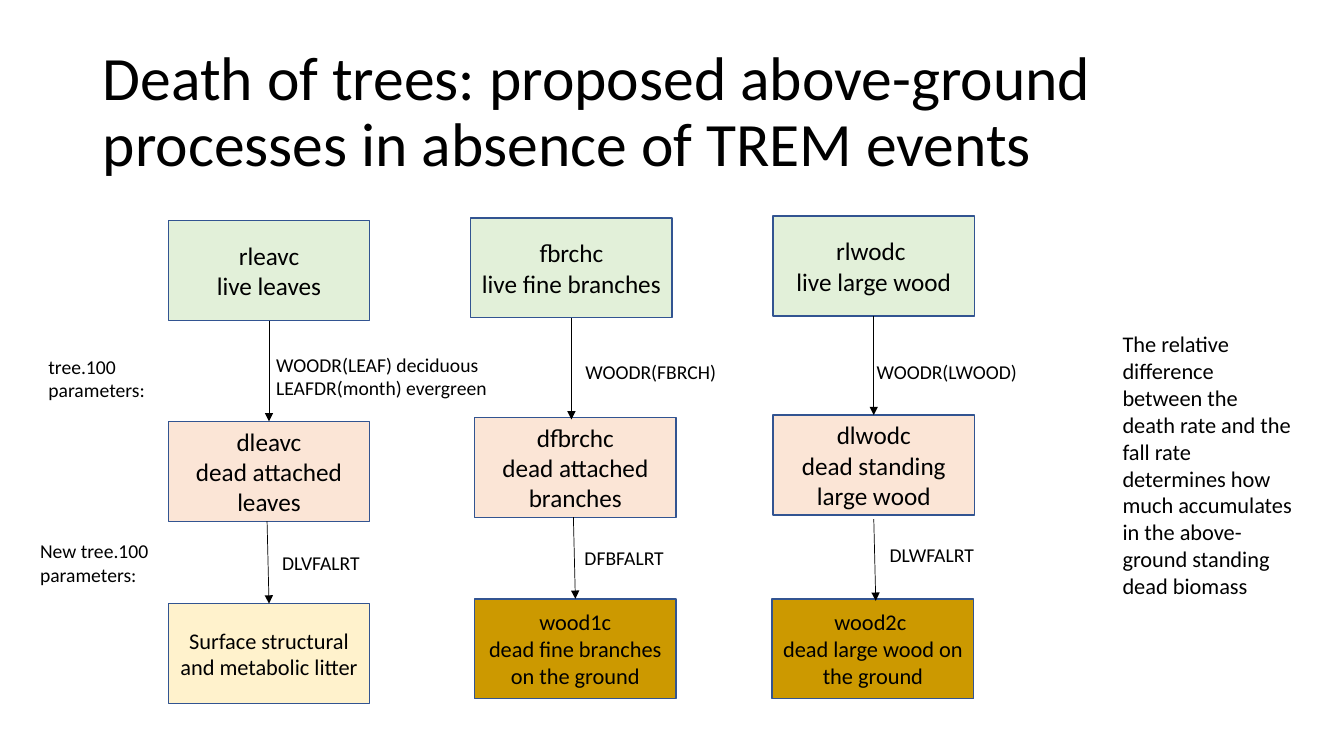
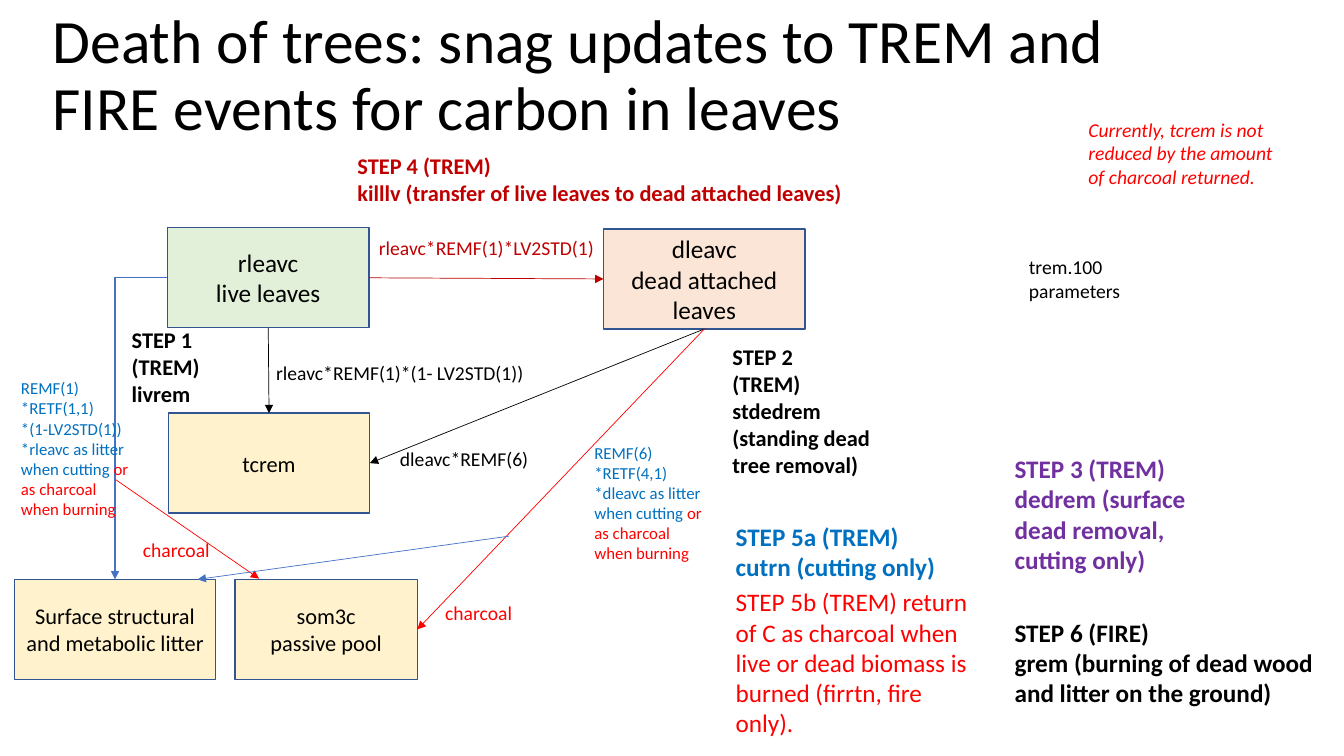
from lxml.etree import SubElement
from pptx import Presentation
from pptx.dml.color import RGBColor
from pptx.enum.shapes import MSO_CONNECTOR, MSO_SHAPE
from pptx.enum.text import MSO_ANCHOR, MSO_AUTO_SIZE, PP_ALIGN
from pptx.oxml.ns import qn
from pptx.util import Cm, Pt

FONT = "Calibri"
COLORS = {
    "black": "000000", "border": "325491", "live": "E2F0D9", "dead": "FBE5D6",
    "litter": "FFF2CC", "ground": "CC9900", "red": "FF0000", "darkred": "C00000",
    "blue": "0070C0", "arrow": "4472C4", "purple": "7030A0",
}
BOX_W, BOX_H = 5.08, 2.52
BOX_SIZES = {"live": 18, "dead": 18, "litter": 16, "ground": 16}
TOP, LEFT, BOTTOM, RIGHT = range(4)
BURNING = ("or as charcoal when burning", "red")

SLIDES = [
    {
        "title": "Death of trees: proposed above-ground processes in absence of TREM events",
        "title_at": (2.34, 1.02),
        "boxes": {
            "rleavc": ("live", 4.24, 5.56, ["rleavc", "live leaves"]),
            "fbrchc": ("live", 11.86, 5.49, ["fbrchc", "live fine branches"]),
            "rlwodc": ("live", 19.48, 5.44, ["rlwodc ", "live large wood"]),
            "dleavc": ("dead", 4.24, 10.62, ["dleavc", "dead attached leaves"]),
            "dfbrchc": ("dead", 11.96, 10.52, ["dfbrchc", "dead attached branches"]),
            "dlwodc": ("dead", 19.48, 10.46, ["dlwodc", "dead standing large wood"]),
            "litter": ("litter", 4.24, 15.21, ["Surface structural and metabolic litter"]),
            "wood1c": ("ground", 11.96, 15.09, ["wood1c", "dead fine branches on the ground"]),
            "wood2c": ("ground", 19.46, 15.09, ["wood2c ", "dead large wood on the ground"]),
        },
        "arrows": [
            (("rleavc", BOTTOM), ("dleavc", TOP), "black"),
            (("fbrchc", BOTTOM), (14.4, 10.57), "black"),
            (("rlwodc", BOTTOM), ("dlwodc", TOP), "black"),
            ((6.73, 13.13), ("litter", TOP), "black"),
            ((14.45, 13.03), ("wood1c", TOP), "black"),
            ((22.02, 13.08), (22.07, 15.14), "black"),
        ],
        "labels": [
            (14.5, 8.94, 3.84, 0.86, ["WOODR(FBRCH)"], 14, "black", ""),
            (21.84, 8.94, 4.09, 0.86, ["WOODR(LWOOD)"], 14, "black", ""),
            (6.71, 8.76, 5.87, 1.45, ["WOODR(LEAF) deciduous", "LEAFDR(month) evergreen"],
             14, "black", ""),
            (0.97, 8.81, 2.97, 1.45, ["tree.100", "parameters:"], 14, "black", ""),
            (0.76, 13.46, 3.28, 1.45, ["New tree.100", "parameters:"], 14, "black", ""),
            (6.86, 13.77, 2.49, 0.86, ["DLVFALRT"], 14, "black", ""),
            (14.48, 13.64, 2.54, 0.86, ["DFBFALRT"], 14, "black", ""),
            (22.17, 13.56, 2.67, 0.86, ["DLWFALRT"], 14, "black", ""),
            (28.04, 8.2, 4.78, 7.09,
             ["The relative difference between the death rate and the fall rate determines "
              "how much accumulates in the above-ground standing dead biomass"],
             16, "black", "wrap"),
        ],
    },
    {
        "title": "Death of trees: snag updates to TREM and FIRE events for carbon in leaves",
        "title_at": (1.07, 0.1),
        "boxes": {
            "rleavc": ("live", 4.22, 5.74, ["rleavc", "live leaves"]),
            "dleavc": ("dead", 15.21, 5.77, ["dleavc", "dead attached leaves"]),
            "tcrem": ("litter", 4.24, 10.41, ["tcrem"]),
            "litter": ("litter", 0.36, 14.6, ["Surface structural and metabolic litter"]),
            "som3c": ("litter", 5.92, 14.6, ["som3c", "passive pool"], 4.6),
        },
        "arrows": [
            (("rleavc", BOTTOM), ("tcrem", TOP), "black"),
            (("rleavc", LEFT), ("litter", TOP), "arrow", "bent"),
            (("rleavc", RIGHT), ("dleavc", LEFT), "darkred"),
            (("dleavc", BOTTOM), ("tcrem", RIGHT), "black"),
            (("dleavc", BOTTOM), ("som3c", RIGHT), "red"),
            ((2.92, 12.09), (6.53, 14.58), "red"),
            ((12.83, 13.51), (4.98, 14.6), "arrow"),
        ],
        "labels": [
            (6.71, 8.97, 6.81, 0.86, ["rleavc*REMF(1)*(1- LV2STD(1))"], 14, "black", ""),
            (25.68, 6.3, 2.84, 1.45, ["trem.100", "parameters"], 14, "black", ""),
            (0.28, 9.4, 3.33, 3.84,
             ["REMF(1)", "*RETF(1,1)", "*(1-LV2STD(1))",
              [("*rleavc as litter when cutting ", "blue"), BURNING]], 12, "blue", "wrap"),
            (14.73, 11.02, 3.33, 3.33,
             ["REMF(6)", "*RETF(4,1)",
              [("*dleavc as litter when cutting ", "blue"), BURNING]], 12, "blue", "wrap"),
            (3.07, 8.1, 2.24, 2.31, ["STEP 1", "(TREM)", "livrem"], 16, "black", "bold"),
            (18.21, 8.53, 4.04, 3.68,
             ["STEP 2", "(TREM)", "stdedrem (standing dead tree removal)"],
             16, "black", "bold wrap"),
            (25.32, 11.3, 4.85, 3.33,
             ["STEP 3 (TREM)", "dedrem (surface dead removal, cutting only)"],
             18, "purple", "bold wrap"),
            (8.76, 3.71, 12.88, 1.63,
             ["STEP 4 (TREM)", "killlv (transfer of live leaves to dead attached leaves)"],
             16, "darkred", "bold"),
            (18.29, 13, 5.61, 1.8, ["STEP 5a (TREM)", "cutrn (cutting only)"],
             18, "blue", "bold"),
            (18.29, 14.66, 6.45, 4.11,
             ["STEP 5b (TREM) return of C as charcoal when live or dead biomass is burned "
              "(firrtn, fire only)."], 18, "red", "wrap"),
            (25.32, 15.42, 8.1, 2.57,
             ["STEP 6 (FIRE)", "grem (burning of dead wood", "and litter on the ground)"],
             18, "black", "bold"),
            (3.35, 13.44, 2.21, 0.86, ["charcoal"], 14, "red", ""),
            (10.97, 15.01, 2.21, 0.86, ["charcoal"], 14, "red", ""),
            (9.3, 5.82, 5.99, 0.86, ["rleavc*REMF(1)*LV2STD(1)"], 14, "darkred", ""),
            (9.83, 11.13, 3.78, 0.86, ["dleavc*REMF(6)"], 14, "black", ""),
            (27.18, 2.84, 5.41, 2.06,
             ["Currently, tcrem is not reduced by the amount of charcoal returned."],
             14, "red", "italic wrap"),
        ],
    },
]


def rgb(name):
    return RGBColor.from_string(COLORS[name])


def write(tf, lines, size, color, style="", align=PP_ALIGN.LEFT):
    for i, line in enumerate(lines):
        p = tf.paragraphs[0] if i == 0 else tf.add_paragraph()
        p.alignment = align
        p.font.name = FONT
        p.font.size = Pt(size)
        p.font.bold = "bold" in style
        p.font.italic = "italic" in style
        if isinstance(line, str):
            p.font.color.rgb = rgb(color)
            p.add_run().text = line
        else:
            for text, run_color in line:
                r = p.add_run()
                r.text = text
                r.font.color.rgb = rgb(run_color)


def add_title(s, text, left, top):
    sp = s.shapes.title
    sp.left, sp.top, sp.width, sp.height = Cm(left), Cm(top), Cm(29.21), Cm(3.68)
    tf = sp.text_frame
    tf.auto_size = MSO_AUTO_SIZE.NONE
    tf.vertical_anchor = MSO_ANCHOR.MIDDLE
    write(tf, [text], 44, "black")
    tf.paragraphs[0].line_spacing = 0.9


def add_box(s, kind, left, top, lines, width=BOX_W):
    sp = s.shapes.add_shape(MSO_SHAPE.RECTANGLE, Cm(left), Cm(top), Cm(width), Cm(BOX_H))
    sp.shadow.inherit = False
    sp.fill.solid()
    sp.fill.fore_color.rgb = rgb(kind)
    sp.line.color.rgb = rgb("border")
    sp.line.width = Pt(1)
    sp.text_frame.vertical_anchor = MSO_ANCHOR.MIDDLE
    write(sp.text_frame, lines, BOX_SIZES[kind], "black", align=PP_ALIGN.CENTER)
    return sp


def add_arrow(s, boxes, start, end, color, route="straight"):
    bent = route == "bent"
    kind = MSO_CONNECTOR.ELBOW if bent else MSO_CONNECTOR.STRAIGHT
    points = [(0, 0) if isinstance(e[0], str) else e for e in (start, end)]
    cxn = s.shapes.add_connector(kind, *[Cm(v) for point in points for v in point])
    for e, connect in ((start, cxn.begin_connect), (end, cxn.end_connect)):
        if isinstance(e[0], str):
            connect(boxes[e[0]], e[1])
    cxn.line.color.rgb = rgb(color)
    cxn.line.width = Pt(1 if bent else 0.5)
    sp_pr = cxn.line._get_or_add_ln().getparent()
    if bent:
        sp_pr.find(qn("a:prstGeom")).set("prst", "bentConnector2")
    SubElement(sp_pr.find(qn("a:ln")), qn("a:tailEnd"), type="triangle")
    SubElement(sp_pr, qn("a:effectLst"))


def add_label(s, left, top, width, height, lines, size, color, style):
    tf = s.shapes.add_textbox(Cm(left), Cm(top), Cm(width), Cm(height)).text_frame
    tf.word_wrap = "wrap" in style
    tf.auto_size = MSO_AUTO_SIZE.SHAPE_TO_FIT_TEXT
    write(tf, lines, size, color, style)


def main():
    prs = Presentation()
    prs.slide_width, prs.slide_height = Cm(33.87), Cm(19.05)
    for content in SLIDES:
        s = prs.slides.add_slide(prs.slide_layouts[5])
        add_title(s, content["title"], *content["title_at"])
        boxes = {name: add_box(s, *box) for name, box in content["boxes"].items()}
        for arrow in content["arrows"]:
            add_arrow(s, boxes, *arrow)
        for label in content["labels"]:
            add_label(s, *label)
    prs.save("out.pptx")


if __name__ == "__main__":
    main()
